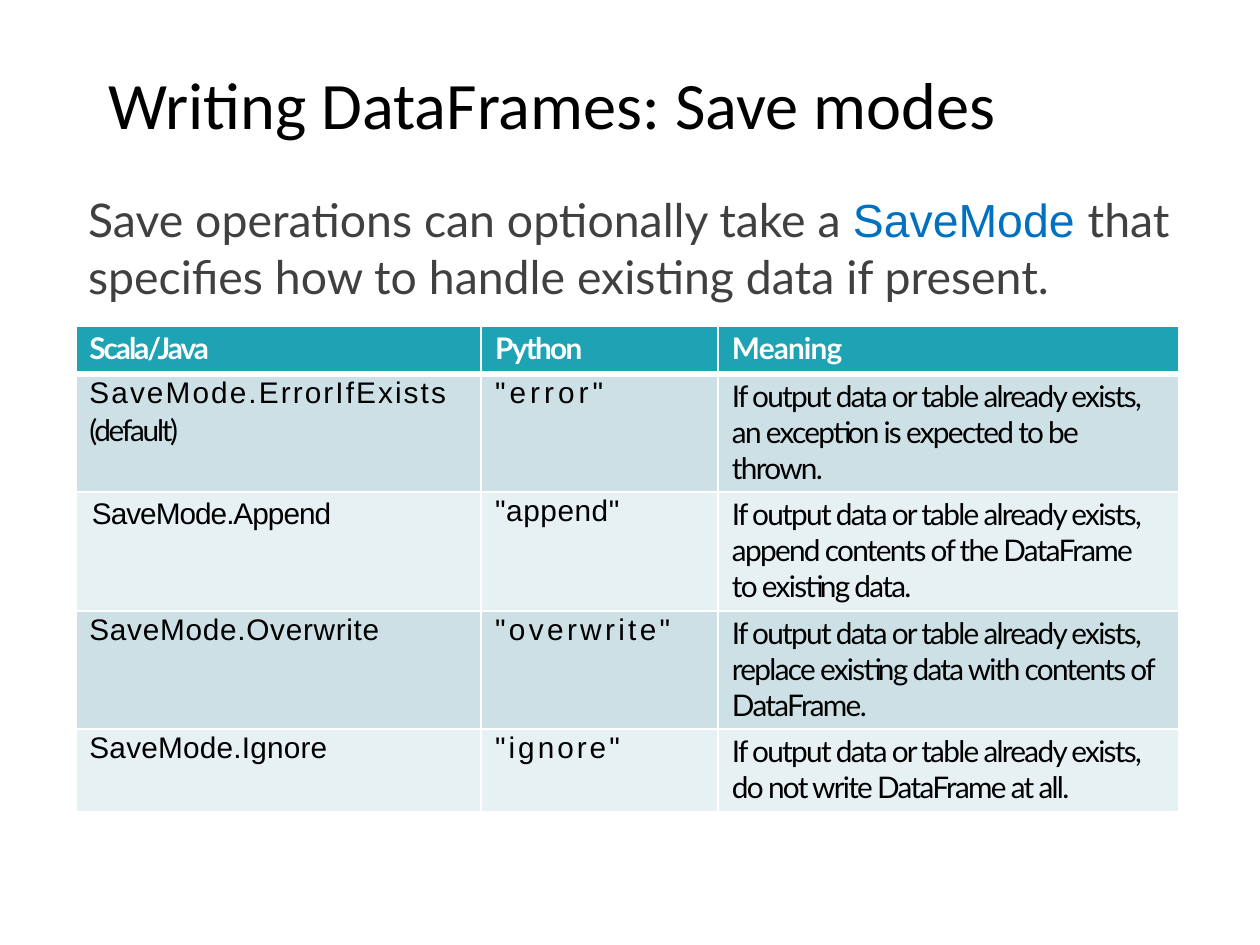
import pptx
import pptx.util
import pptx.dml.color
import pptx.enum.text
from dataclasses import dataclass
from lxml import etree

Pt = pptx.util.Pt
Inches = pptx.util.Inches
WIDE, HIGH = 10, 7.5


@dataclass(frozen=True)
class Theme:
    title_font: str = "Calibri"
    font: str = "Lato"
    code_font: str = "Arial"
    title_size: float = 37.9
    body_size: float = 26.5
    cell_size: float = 17
    ink: str = "000000"
    gray: str = "404040"
    blue: str = "0070C0"
    white: str = "FFFFFF"
    head: str = "1EA3B5"
    bands: tuple = ("CCE0E5", "E7F0F3")
    rule: float = 1.5
    head_rule: float = 4.25


THEME = Theme()
COLS = (3.22, 1.88, 3.66)
ROWS = (0.38, 0.94, 0.94, 0.94, 0.66)
INDENT = 0.11

# Each code entry is its text and its letter spacing in points.
HEADS = (("Scala/Java", -1.2), ("Python", -1), ("Meaning", -0.5))
MODES = (
    (("SaveMode.ErrorIfExists", 1.2), ('"error"', 2.3),
     "an exception is expected to be thrown."),
    (("SaveMode.Append", -0.6), ('"append"', 0.3),
     "append contents of the DataFrame to existing data."),
    (("SaveMode.Overwrite", 0.4), ('"overwrite"', 1.9),
     "replace existing data with contents of DataFrame."),
    (("SaveMode.Ignore", 0.1), ('"ignore"', 1.7),
     "do not write DataFrame at all."),
)


def style(run, font, size, color, bold=False, gap=0):
    """Format a run; gap is the letter spacing in points."""
    run.font.name = font
    run.font.size = Pt(size)
    run.font.bold = bold
    run.font.color.rgb = pptx.dml.color.RGBColor.from_string(color)
    if gap:
        run.font._element.set("spc", str(round(gap * 100)))


def inset(box, left, top, right=0):
    box.margin_left, box.margin_top = Inches(left), Inches(top)
    box.margin_right, box.margin_bottom = Inches(right), 0


def add_title(slide, text):
    title = slide.shapes.title
    title.left, title.top = Inches(0.085 * WIDE), Inches(0.065 * HIGH)
    title.width, title.height = Inches(0.79 * WIDE), Inches(0.087 * HIGH)
    frame = title.text_frame
    frame.text = text
    inset(frame, 0.01, 0.01)
    frame.vertical_anchor = pptx.enum.text.MSO_ANCHOR.MIDDLE
    line = frame.paragraphs[0]
    line.alignment = pptx.enum.text.PP_ALIGN.LEFT
    style(line.runs[0], THEME.title_font, THEME.title_size, THEME.ink)


def add_intro(slide, parts):
    """Add one paragraph made of (text, font, color) parts."""
    box = slide.shapes.add_textbox(
        Inches(0.069 * WIDE), Inches(0.2 * HIGH),
        Inches(0.896 * WIDE), Inches(0.119 * HIGH))
    frame = box.text_frame
    frame.word_wrap = True
    inset(frame, 0.01, 0)
    line = frame.paragraphs[0]
    line.line_spacing = 1.03
    for text, font, color in parts:
        run = line.add_run()
        run.text = text
        style(run, font, THEME.body_size, color)


def add_edge(cell, side, width):
    props = cell._tc.get_or_add_tcPr()
    edge = etree.SubElement(props, pptx.oxml.ns.qn("a:ln" + side),
                            w=str(Pt(width)))
    fill = etree.SubElement(edge, pptx.oxml.ns.qn("a:solidFill"))
    etree.SubElement(fill, pptx.oxml.ns.qn("a:srgbClr"), val=THEME.white)


def paint(cell, row):
    """Set the borders, then the fill, as the schema orders them."""
    thick = {(0, "B"), (1, "T")}
    for side in "LRTB":
        add_edge(cell, side,
                 THEME.head_rule if (row, side) in thick else THEME.rule)
    cell.fill.solid()
    color = THEME.bands[(row - 1) % 2] if row else THEME.head
    cell.fill.fore_color.rgb = pptx.dml.color.RGBColor.from_string(color)


def write(cell, text, font, color, top, gap, bold=False):
    cell.text_frame.text = text
    inset(cell, INDENT, top)
    style(cell.text_frame.paragraphs[0].runs[0],
          font, THEME.cell_size, color, bold, gap)


def add_note(cell, text):
    line = cell.text_frame.add_paragraph()
    line.text = text
    line.space_before = Pt(1.2)
    style(line.runs[0], THEME.font, THEME.cell_size, THEME.ink, gap=-1.3)


def add_modes(slide):
    table = slide.shapes.add_table(
        len(ROWS), len(COLS), Inches(0.06 * WIDE), Inches(0.345 * HIGH),
        Inches(sum(COLS)), Inches(sum(ROWS))).table
    for col, width in zip(table.columns, COLS):
        col.width = Inches(width)
    for row, height in zip(table.rows, ROWS):
        row.height = Inches(height)
    for r in range(len(ROWS)):
        for c in range(len(COLS)):
            paint(table.cell(r, c), r)
    for c, (text, gap) in enumerate(HEADS):
        write(table.cell(0, c), text, THEME.font, THEME.white, 0.03, gap, True)
    for r, (*codes, effect) in enumerate(MODES, 1):
        for c, (text, gap) in enumerate(codes):
            write(table.cell(r, c), text, THEME.code_font, THEME.ink,
                  0.02, gap)
        cell = table.cell(r, 2)
        write(cell, "If output data or table already exists, " + effect,
              THEME.font, THEME.ink, 0.03, -1)
        cell.margin_right = Inches(0.15)
        cell.text_frame.paragraphs[0].line_spacing = 1.01
    add_note(table.cell(1, 0), "(default)")
    inset(table.cell(2, 0), 0.13, 0.04)


def main():
    deck = pptx.Presentation()
    deck.slide_width, deck.slide_height = Inches(WIDE), Inches(HIGH)
    slide = deck.slides.add_slide(deck.slide_layouts[5])
    add_title(slide, "Writing DataFrames: Save modes")
    add_intro(slide, (
        ("Save operations can optionally take a ", THEME.font, THEME.gray),
        ("SaveMode ", THEME.code_font, THEME.blue),
        ("that specifies how to handle existing data if present.",
         THEME.font, THEME.gray)))
    add_modes(slide)
    deck.save("out.pptx")


if __name__ == "__main__":
    main()
